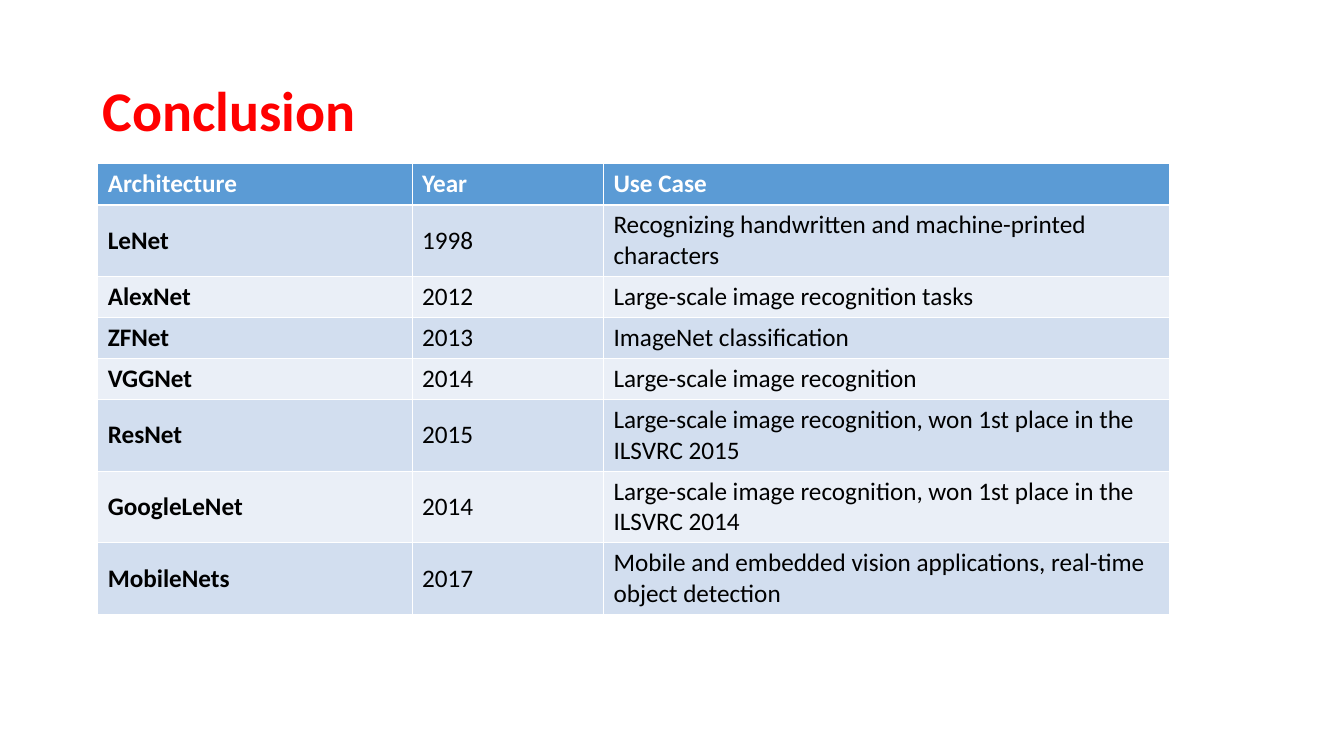
"""Build the conclusion slide: a title and a table of network architectures."""
from dataclasses import dataclass

import lxml.etree
import pptx
import pptx.dml.color
import pptx.enum.text
import pptx.oxml.ns
import pptx.util

Inches = pptx.util.Inches
Pt = pptx.util.Pt
MIDDLE = pptx.enum.text.MSO_ANCHOR.MIDDLE


@dataclass(frozen=True)
class Theme:
    font: str = "Calibri"
    title_size: int = 40
    table_size: int = 18
    title: str = "FF0000"
    header: str = "5B9BD5"
    header_text: str = "FFFFFF"
    text: str = "000000"
    bands: tuple = ("D2DEEF", "EAEFF7")
    rule: str = "FFFFFF"
    thin: float = 0.45
    thick: float = 1.47


THEME = Theme()
COLUMN_WIDTHS = (3.12, 1.9, 5.62)
ROW_HEIGHTS = (0.41, 0.7, 0.4, 0.41, 0.4, 0.7, 0.7, 0.7)
ARCHITECTURES = (
    ("Architecture", "Year", "Use Case"),
    ("LeNet", "1998", "Recognizing handwritten and machine-printed characters"),
    ("AlexNet", "2012", "Large-scale image recognition tasks"),
    ("ZFNet", "2013", "ImageNet classification"),
    ("VGGNet", "2014", "Large-scale image recognition"),
    ("ResNet", "2015", "Large-scale image recognition, won 1st place in the ILSVRC 2015"),
    ("GoogleLeNet", "2014", "Large-scale image recognition, won 1st place in the ILSVRC 2014"),
    ("MobileNets", "2017", "Mobile and embedded vision applications, real-time object detection"),
)


def rgb(value):
    return pptx.dml.color.RGBColor.from_string(value)


def style_text(paragraph, size, color, bold):
    font = paragraph.font
    font.name = THEME.font
    font.size = Pt(size)
    font.color.rgb = rgb(color)
    font.bold = bold


def add_border(cell, side, width):
    qn = pptx.oxml.ns.qn
    properties = cell._tc.get_or_add_tcPr()
    line = lxml.etree.SubElement(properties, qn(f"a:ln{side}"), w=str(Pt(width)))
    fill = lxml.etree.SubElement(line, qn("a:solidFill"))
    lxml.etree.SubElement(fill, qn("a:srgbClr"), val=THEME.rule)


def fill_cell(cell, text, row, column):
    is_header = row == 0
    thick_side = {0: "B", 1: "T"}.get(row)
    for side in "LRTB":
        add_border(cell, side, THEME.thick if side == thick_side else THEME.thin)
    cell.fill.solid()
    cell.fill.fore_color.rgb = rgb(THEME.header if is_header else THEME.bands[(row - 1) % 2])
    cell.vertical_anchor = MIDDLE
    cell.text = text
    color = THEME.header_text if is_header else THEME.text
    style_text(cell.text_frame.paragraphs[0], THEME.table_size, color, is_header or column == 0)


def add_architecture_table(slide):
    table = slide.shapes.add_table(
        len(ARCHITECTURES), len(COLUMN_WIDTHS), Inches(0.97), Inches(1.62),
        Inches(sum(COLUMN_WIDTHS)), Inches(sum(ROW_HEIGHTS))).table
    for column, width in zip(table.columns, COLUMN_WIDTHS):
        column.width = Inches(width)
    for row, height in zip(table.rows, ROW_HEIGHTS):
        row.height = Inches(height)
    for row, entries in enumerate(ARCHITECTURES):
        for column, text in enumerate(entries):
            fill_cell(table.cell(row, column), text, row, column)


def add_title(slide, text):
    frame = slide.shapes.add_textbox(
        Inches(0.92), Inches(0.4), Inches(11.5), Inches(1.45)).text_frame
    frame.word_wrap = True
    frame.vertical_anchor = MIDDLE
    heading = frame.paragraphs[0]
    heading.text = text
    heading.line_spacing = 0.9
    style_text(heading, THEME.title_size, THEME.title, True)


def main():
    deck = pptx.Presentation()
    deck.slide_width = Inches(13.34)
    deck.slide_height = Inches(7.5)
    slide = deck.slides.add_slide(deck.slide_layouts[6])
    add_architecture_table(slide)
    add_title(slide, "Conclusion")
    deck.save("out.pptx")


if __name__ == "__main__":
    main()
